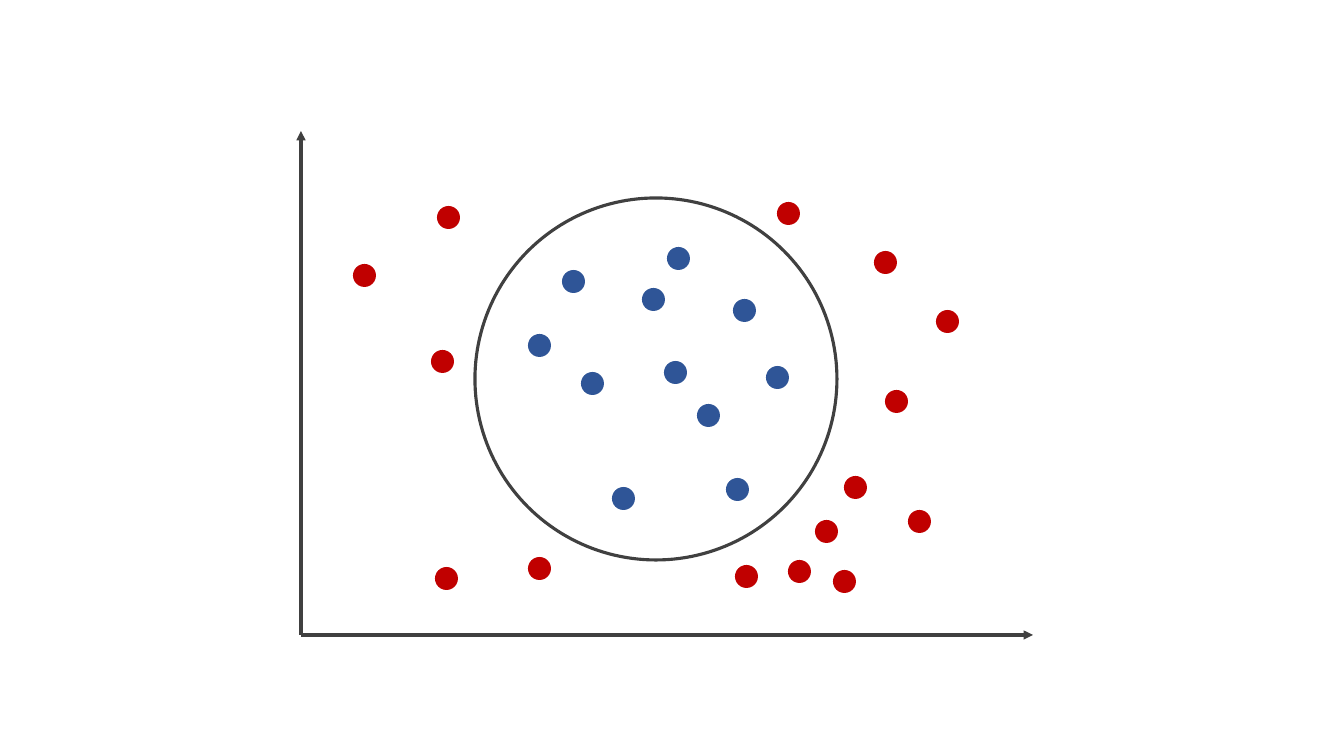
import pptx
import pptx.dml.color
import pptx.enum.shapes
import pptx.oxml.ns
import pptx.util
from lxml import etree

SCALE = 914400 / 100.8
DOT = 23
GREY, BLUE, RED = "404040", "2F5597", "C00000"
kinds = pptx.enum.shapes.MSO_SHAPE


def px(n):
    return pptx.util.Emu(round(n * SCALE))


def rgb(code):
    return pptx.dml.color.RGBColor.from_string(code)


deck = pptx.Presentation()
deck.slide_width = px(1344)
deck.slide_height = px(756)
slide = deck.slides.add_slide(deck.slide_layouts[6])
shapes = slide.shapes

start = (301, 635)
for end in [(301, 131), (1033, 635)]:
    axis = shapes.add_connector(
        pptx.enum.shapes.MSO_CONNECTOR.STRAIGHT, *map(px, start + end)
    )
    axis.line.color.rgb = rgb(GREY)
    axis.line.width = pptx.util.Pt(2.25)
    etree.SubElement(
        axis.line._get_or_add_ln(), pptx.oxml.ns.qn("a:tailEnd"), type="triangle"
    )
    etree.SubElement(axis._element.spPr, pptx.oxml.ns.qn("a:effectLst"))

ring = shapes.add_shape(kinds.OVAL, px(475), px(198), px(362), px(362))
ring.shadow.inherit = False
ring.fill.background()
ring.line.color.rgb = rgb(GREY)
ring.line.width = pptx.util.Pt(2.25)

inner = [
    (581, 372), (697, 404), (733, 299), (664, 361), (612, 487), (642, 288),
    (562, 270), (766, 366), (667, 247), (528, 334), (726, 478),
]
outer = [
    (788, 560), (885, 390), (528, 557), (844, 476), (735, 565),
    (874, 251), (777, 202), (437, 206), (431, 350), (833, 570),
    (908, 510), (435, 567), (815, 520), (353, 264), (936, 310),
]
for color, spots in [(BLUE, inner), (RED, outer)]:
    for left, top in spots:
        dot = shapes.add_shape(
            kinds.FLOWCHART_CONNECTOR, px(left), px(top), px(DOT), px(DOT)
        )
        dot.shadow.inherit = False
        dot.fill.solid()
        dot.fill.fore_color.rgb = rgb(color)
        dot.line.fill.background()

deck.save("out.pptx")
